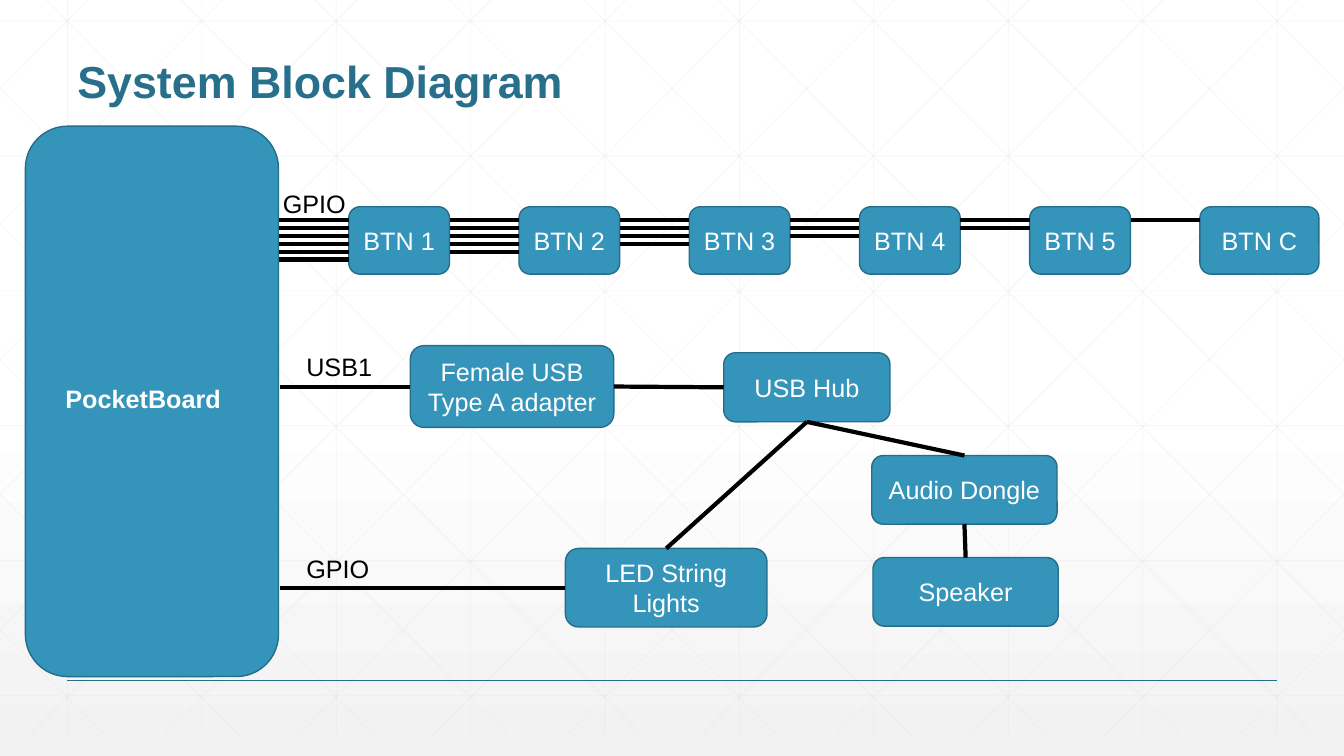
from dataclasses import dataclass

from lxml import etree
from pptx import Presentation
from pptx.dml.color import RGBColor
from pptx.enum.shapes import MSO_CONNECTOR, MSO_SHAPE
from pptx.enum.text import MSO_ANCHOR, PP_ALIGN
from pptx.oxml.ns import qn
from pptx.util import Cm, Pt

STRAIGHT = MSO_CONNECTOR.STRAIGHT
ROUNDED = MSO_SHAPE.ROUNDED_RECTANGLE
MIDDLE, BOTTOM = MSO_ANCHOR.MIDDLE, MSO_ANCHOR.BOTTOM
LEFT, CENTER = PP_ALIGN.LEFT, PP_ALIGN.CENTER
# Connection sites of a rounded rectangle
SITE_TOP, SITE_LEFT, SITE_BOTTOM, SITE_RIGHT = range(4)


@dataclass(frozen=True)
class Theme:
    font: str = "Arial"
    title_size: int = 32
    text_size: int = 18
    heading: str = "276F8B"
    block: str = "3494BA"
    outline: str = "266D8A"
    wire: str = "000000"
    on_block: str = "FFFFFF"
    grid: str = "D9D9D9"
    page_top: str = "FFFFFF"
    page_bottom: str = "F2F2F2"


THEME = Theme()
WIDTH, HEIGHT = 33.87, 19.05


def rgb(code):
    return RGBColor.from_string(code)


def write(frame, text, color, size=THEME.text_size, bold=False, align=LEFT):
    frame.word_wrap = True
    paragraph = frame.paragraphs[0]
    paragraph.alignment = align
    run = paragraph.add_run()
    run.text = text
    run.font.name = THEME.font
    run.font.size = Pt(size)
    run.font.bold = bold
    run.font.color.rgb = rgb(color)
    return paragraph


def add_label(slide, text, x, y, w=2.24, h=1.02, color=THEME.wire, **style):
    frame = slide.shapes.add_textbox(Cm(x), Cm(y), Cm(w), Cm(h)).text_frame
    return frame, write(frame, text, color, **style)


def add_block(slide, x, y, w, h, text=None):
    block = slide.shapes.add_shape(ROUNDED, Cm(x), Cm(y), Cm(w), Cm(h))
    block.shadow.inherit = False
    block.fill.solid()
    block.fill.fore_color.rgb = rgb(THEME.block)
    block.line.color.rgb = rgb(THEME.outline)
    block.line.width = Pt(1)
    if text:
        block.text_frame.vertical_anchor = MIDDLE
        write(block.text_frame, text, THEME.on_block, align=CENTER)
    return block


def add_line(slide, x1, y1, x2, y2, color=THEME.wire, width=3, opacity=None):
    line = slide.shapes.add_connector(STRAIGHT, Cm(x1), Cm(y1), Cm(x2), Cm(y2))
    line.line.color.rgb = rgb(color)
    line.line.width = Pt(width)
    properties = line._element.spPr
    if opacity is not None:
        tint = properties.find(".//" + qn("a:srgbClr"))
        etree.SubElement(tint, qn("a:alpha"), val=str(opacity * 1000))
    etree.SubElement(properties, qn("a:effectLst"))
    return line


def join(slide, start, start_site, end, end_site):
    wire = add_line(slide, 0, 0, 1, 1)
    wire.begin_connect(start, start_site)
    wire.end_connect(end, end_site)


def paint_page(slide):
    fill = slide.background.fill
    fill.gradient()
    fill.gradient_angle = 270
    stops = zip(fill.gradient_stops, (0.53, 1), (THEME.page_top, THEME.page_bottom))
    for stop, position, color in stops:
        stop.position = position
        stop.color.rgb = rgb(color)


def draw_grid(slide):
    """Faint verticals, horizontals and two mirrored families of diagonals."""
    top, bottom, run = -0.53, 18.52, 18.93
    step = WIDTH / 10
    slope = (bottom - top) / run

    def grid_line(*ends):
        add_line(slide, *ends, color=THEME.grid, width=0.5, opacity=25)

    for column in range(10):
        x = 1.7 + column * step
        grid_line(x, top, x, bottom)
    for row in range(6):
        y = 0.53 + row * 3.4
        grid_line(0, y, WIDTH, y)
    for diagonal in range(-5, 10):
        start = 0.64 + diagonal * step
        x1, x2 = max(start, 0), min(start + run, WIDTH)
        y1, y2 = (top + (x - start) * slope for x in (x1, x2))
        grid_line(x1, y1, x2, y2)
        grid_line(WIDTH - x1, y1, WIDTH - x2, y2)


def draw_buttons(slide):
    """A chain of buttons, each reached by one wire fewer than the last."""
    names = ["BTN 1", "BTN 2", "BTN 3", "BTN 4", "BTN 5", "BTN C"]
    width, gap = 2.54, 1.75
    for index, name in enumerate(names):
        x = 8.79 + index * (width + gap)
        add_block(slide, x, 5.21, 3 if name == "BTN C" else width, 1.7, name)
        for wire in range(len(names) - index):
            y = 5.54 + wire * 0.2
            add_line(slide, x, y, x - gap, y)


def draw_devices(slide):
    adapter = add_block(slide, 10.34, 8.71, 5.13, 2.06, "Female USB Type A adapter")
    hub = add_block(slide, 18.24, 8.89, 4.19, 1.74, "USB Hub")
    lights = add_block(slide, 14.25, 13.82, 5.08, 1.98, "LED String Lights")
    dongle = add_block(slide, 21.97, 11.48, 4.67, 1.73, "Audio Dongle")
    speaker = add_block(slide, 22, 14.05, 4.67, 1.73, "Speaker")

    add_line(slide, 10.34, 9.75, 7.06, 9.75)
    add_line(slide, 14.25, 14.81, 7.06, 14.81)
    join(slide, adapter, SITE_RIGHT, hub, SITE_LEFT)
    join(slide, hub, SITE_BOTTOM, lights, SITE_TOP)
    join(slide, hub, SITE_BOTTOM, dongle, SITE_TOP)
    join(slide, dongle, SITE_BOTTOM, speaker, SITE_TOP)


def main():
    deck = Presentation()
    deck.slide_width, deck.slide_height = Cm(WIDTH), Cm(HEIGHT)
    slide = deck.slides.add_slide(deck.slide_layouts[6])

    paint_page(slide)
    draw_grid(slide)
    add_line(slide, 1.7, 17.15, 32.17, 17.15, color=THEME.heading, width=1)
    title_frame, title = add_label(slide, "System Block Diagram", 1.7, 0.64, 30.48, 2.2,
                                   color=THEME.heading, size=THEME.title_size, bold=True)
    title_frame.vertical_anchor = BOTTOM
    title.line_spacing = 0.9

    add_block(slide, 0.64, 3.18, 6.38, 13.87)
    add_label(slide, "PocketBoard", 1.4, 9.53, 4.88, color=THEME.on_block, bold=True)
    draw_buttons(slide)
    draw_devices(slide)
    for text, x, y in (("GPIO", 6.88, 4.62), ("USB1", 7.47, 8.74), ("GPIO", 7.47, 13.82)):
        add_label(slide, text, x, y)

    deck.save("out.pptx")


if __name__ == "__main__":
    main()
